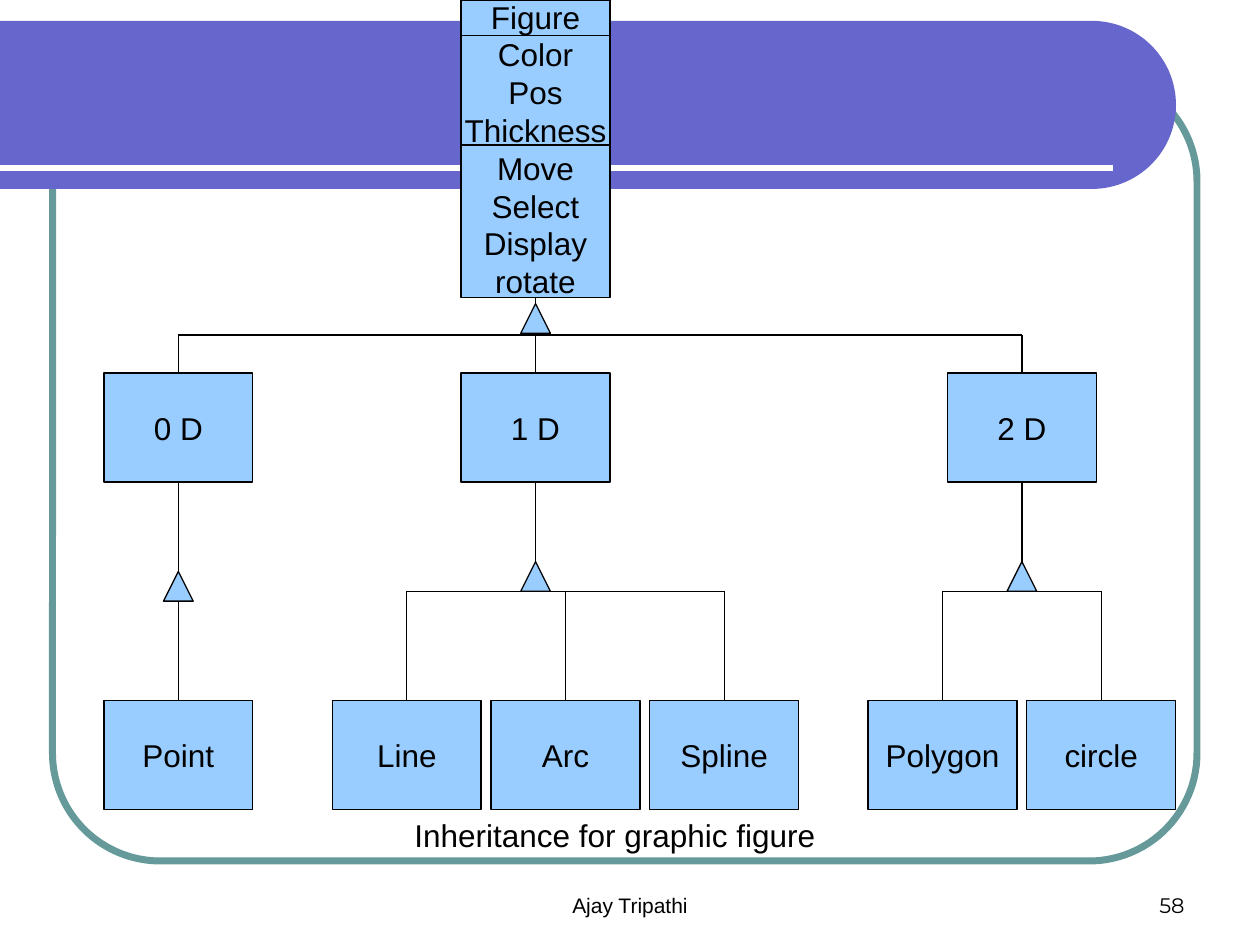
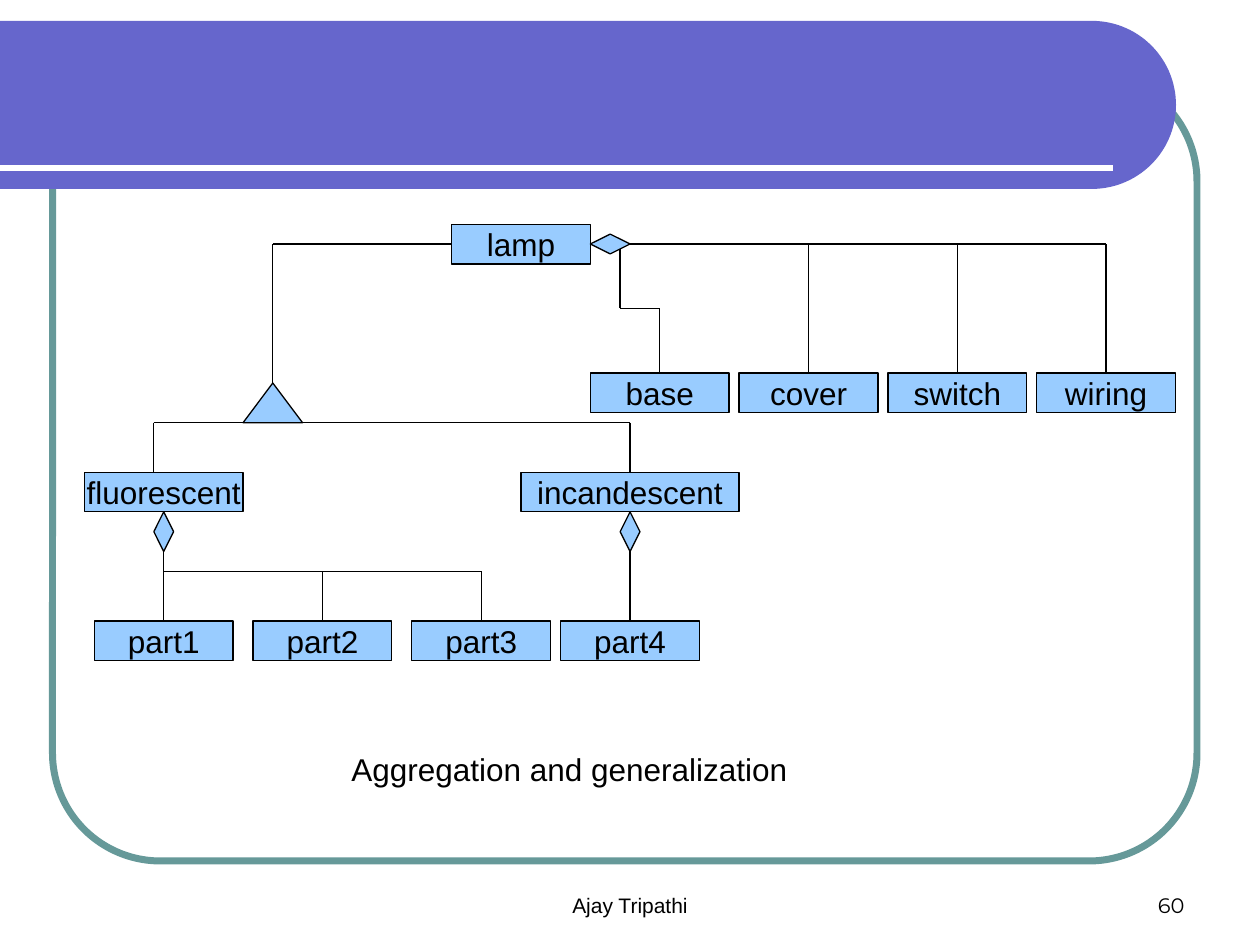
import math

from lxml import etree
from pptx import Presentation, util as u
from pptx.dml.color import RGBColor
from pptx.enum import shapes, text
from pptx.oxml import ns

BLACK = RGBColor(0x00, 0x00, 0x00)
WHITE = RGBColor(0xFF, 0xFF, 0xFF)
SKY = RGBColor(0x99, 0xCC, 0xFF)
VIOLET = RGBColor(0x66, 0x66, 0xCC)
TEAL = RGBColor(0x66, 0x99, 0x99)

COLUMNS = 100
TOP, BOTTOM = 0, 2
KINDS = shapes.MSO_SHAPE


class Diagram:
    def __init__(self, deck):
        self.deck = deck
        self.cell = deck.slide_width / COLUMNS
        self.page = None

    def grid(self, *lengths):
        return [u.Emu(round(length * self.cell)) for length in lengths]

    def start_page(self, number):
        self.page = self.deck.slides.add_slide(self.deck.slide_layouts[6])
        frame = self.shape(KINDS.ROUNDED_RECTANGLE, 4.17, 5.83, 90.83, 62.5, None, TEAL, 4)
        frame.adjustments[0] = 0.137
        self.band()
        self.line((0, 13.33), (88.33, 13.33), color=WHITE, weight=3)
        self.label("Ajay Tripathi", 34.17, 68.33, 31.67, 5, align=text.PP_ALIGN.CENTER)
        self.label(str(number), 71.67, 68.33, 23.33, 5, "Montserrat", text.PP_ALIGN.RIGHT)

    def band(self):
        x, y, radius = 86.67, 8.33, 6.67
        angles = [math.radians(degrees) for degrees in range(-90, 91, 3)]
        arc = [self.grid(x + radius * math.cos(a), y + radius * math.sin(a)) for a in angles]
        outline = self.page.shapes.build_freeform(*self.grid(0, y - radius))
        outline.add_line_segments(arc + [self.grid(0, y + radius)], close=True)
        self.paint(outline.convert_to_shape(), VIOLET, None)

    def paint(self, shape, fill, line, weight=0.75):
        shape.shadow.inherit = False
        if fill is None:
            shape.fill.background()
        else:
            shape.fill.solid()
            shape.fill.fore_color.rgb = fill
        if line is None:
            shape.line.fill.background()
        else:
            shape.line.color.rgb = line
            shape.line.width = u.Pt(weight)
        return shape

    def shape(self, kind, left, top, width, height, fill=SKY, line=BLACK, weight=0.75):
        shape = self.page.shapes.add_shape(kind, *self.grid(left, top, width, height))
        return self.paint(shape, fill, line, weight)

    def add_text(self, frame, lines, size, font, align):
        for index, words in enumerate(lines):
            para = frame.add_paragraph() if index else frame.paragraphs[0]
            para.alignment = align
            span = para.add_run()
            span.text = words
            span.font.size = u.Pt(size)
            span.font.name = font
            span.font.color.rgb = BLACK

    def box(self, lines, left, top, width, height):
        box = self.shape(KINDS.RECTANGLE, left, top, width, height)
        box.text_frame.word_wrap = False
        box.text_frame.vertical_anchor = text.MSO_ANCHOR.MIDDLE
        self.add_text(box.text_frame, lines, 18, "Arial", text.PP_ALIGN.CENTER)
        return box

    def row(self, names, left, top, width, height, pitch):
        return [self.box([name], left + i * pitch, top, width, height)
                for i, name in enumerate(names)]

    def label(self, words, left, top, width, height, font="Arial", align=None):
        box = self.page.shapes.add_textbox(*self.grid(left, top, width, height))
        box.text_frame.word_wrap = True
        box.text_frame.vertical_anchor = text.MSO_ANCHOR.BOTTOM
        self.add_text(box.text_frame, [words], 12, font, align)

    def caption(self, words, left, top, width):
        box = self.page.shapes.add_textbox(*self.grid(left, top, width, 4.04))
        box.text_frame.word_wrap = False
        box.text_frame.auto_size = text.MSO_AUTO_SIZE.SHAPE_TO_FIT_TEXT
        self.add_text(box.text_frame, [words], 18, "Arial", text.PP_ALIGN.LEFT)

    def line(self, start, end, begin=None, finish=None, color=BLACK, weight=0.75):
        line = self.page.shapes.add_connector(
            shapes.MSO_CONNECTOR.STRAIGHT, *self.grid(*start, *end))
        line.line.color.rgb = color
        line.line.width = u.Pt(weight)
        etree.SubElement(line.element.spPr, ns.qn("a:effectLst"))
        if begin is not None:
            line.begin_connect(*begin)
        if finish is not None:
            line.end_connect(*finish)

    def middle(self, box):
        return (box.left + box.width / 2) / self.cell

    def drop(self, child, level):
        x = self.middle(child)
        self.line((x, level), (x, child.top / self.cell), finish=(child, TOP))

    def bus(self, level, x, children):
        stops = [x] + [self.middle(child) for child in children]
        self.line((min(stops), level), (max(stops), level))
        for child in children:
            self.drop(child, level)

    def tree(self, parent, level, children):
        x = self.middle(parent)
        bottom = (parent.top + parent.height) / self.cell
        self.line((x, bottom), (x, level), begin=(parent, BOTTOM))
        self.bus(level, x, children)

    def link(self, parent, child):
        self.line((0, 0), (0, 0), (parent, BOTTOM), (child, TOP))

    def triangle(self, center, top, width=2.36, height=2.36):
        self.shape(KINDS.ISOSCELES_TRIANGLE, center - width / 2, top, width, height)

    def diamond(self, x, y, rotation=0):
        diamond = self.shape(KINDS.DIAMOND, x - 1.57, y - 0.79, 3.15, 1.57)
        diamond.rotation = rotation


def figure_inheritance(diagram):
    diagram.start_page(58)
    width, height, pitch = 11.81, 8.66, 12.6
    members = ["Figure", "Color", "Pos", "Thickness", "Move", "Select", "Display", "rotate"]
    figure = diagram.box(members, 36.6, 0, width, 23.62)
    zero, one, two = dimensions = [
        diagram.box([name], left, 29.6, width, height)
        for name, left in (("0 D", 8.25), ("1 D", 36.6), ("2 D", 75.2))]
    point, = diagram.row(["Point"], 8.25, 55.6, width, height, pitch)
    curves = diagram.row(["Line", "Arc", "Spline"], 26.38, 55.6, width, height, pitch)
    areas = diagram.row(["Polygon", "circle"], 68.9, 55.6, width, height, pitch)
    for divider in (2.83, 11.5):
        diagram.line((36.6, divider), (36.6 + width, divider))
    diagram.tree(figure, 26.6, dimensions)
    diagram.link(zero, point)
    diagram.tree(one, 46.93, curves)
    diagram.tree(two, 46.93, areas)
    for parent, top in ((figure, 24.1), (zero, 45.35), (one, 44.57), (two, 44.57)):
        diagram.triangle(diagram.middle(parent), top)
    diagram.caption("Inheritance for graphic figure", 31.9, 64.3, 33.8)


def lamp_aggregation(diagram):
    diagram.start_page(60)
    width, height = 11.02, 3.15
    diagram.box(["lamp"], 35.83, 17.8, width, height)
    base, *fittings = diagram.row(["base", "cover", "switch", "wiring"],
                                  46.85, 29.6, width, height, 11.81)
    incandescent = diagram.box(["incandescent"], 41.34, 37.48, 17.32, height)
    fluorescent = diagram.box(["fluorescent"], 6.69, 37.48, 12.6, height)
    parts = diagram.row(["part1", "part2", "part3"], 7.48, 49.3, width, height, 12.6)
    bulb = diagram.box(["part4"], 44.49, 49.3, width, height)
    axis, split = 19.37, 33.55
    diagram.line((49.2, axis), (49.2, 24.47))
    diagram.bus(24.47, 49.2, [base])
    diagram.bus(axis, 46.85, fittings)
    diagram.tree(fluorescent, 45.35, parts)
    diagram.link(incandescent, bulb)
    diagram.diamond(48.43, axis)
    for kind in (incandescent, fluorescent):
        diagram.diamond(diagram.middle(kind), 42.2, 270)
    diagram.line((12.2, split), (12.2, 37.48))
    diagram.bus(split, 12.2, [incandescent])
    diagram.line((21.65, axis), (21.65, split))
    diagram.line((21.65, axis), (35.83, axis))
    diagram.triangle(21.65, 30.4, 4.72, height)
    diagram.caption("Aggregation and generalization", 26.9, 59.05, 36.6)


def main():
    deck = Presentation()
    deck.slide_width, deck.slide_height = u.Inches(10), u.Inches(7.5)
    diagram = Diagram(deck)
    figure_inheritance(diagram)
    lamp_aggregation(diagram)
    deck.save("out.pptx")


if __name__ == "__main__":
    main()
